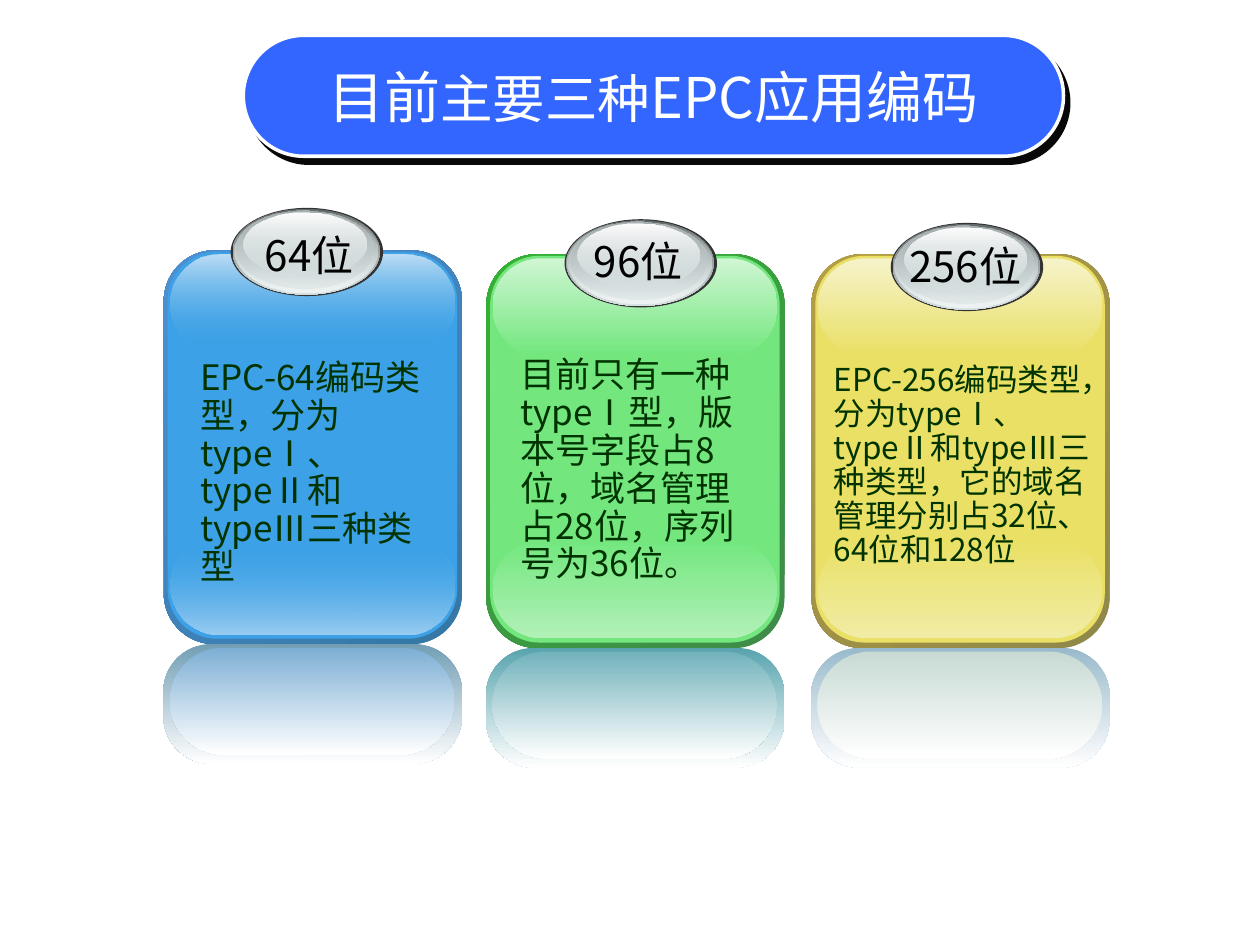
from lxml import etree
from pptx import Presentation
from pptx.dml.color import RGBColor
from pptx.enum import shapes, text
from pptx.oxml.ns import qn
from pptx.util import Pt

WHITE = RGBColor(0xFF, 0xFF, 0xFF)
BLACK = RGBColor(0, 0, 0)
INK = RGBColor(0, 0x33, 0)
TITLE_BLUE = RGBColor(0x33, 0x66, 0xFF)
RIM = RGBColor(0x33, 0x33, 0x33)
STEEL = RGBColor(0x62, 0x67, 0x68)
GREY = RGBColor(0xA8, 0xB1, 0xB2)
SILVER = RGBColor(0xD6, 0xE1, 0xE2)
PEARL = RGBColor(0xEF, 0xF3, 0xF3)
SHINE = RGBColor(0xFE, 0xFE, 0xFE)
SHADOW = RGBColor(0x08, 0x08, 0x08)

BLUE = dict(edge=(RGBColor(0x34, 0x77, 0xA4), RGBColor(0x4E, 0x91, 0xD4)),
            face=RGBColor(0x3C, 0xA1, 0xE6), low=RGBColor(0x9A, 0xCD, 0xF1),
            high=RGBColor(0xBD, 0xDE, 0xF5), mirror=RGBColor(0x72, 0x9E, 0xB4),
            mirror_face=RGBColor(0x7D, 0xAF, 0xD4))
GREEN = dict(edge=(RGBColor(0x3F, 0x8B, 0x4A), RGBColor(0x34, 0xB0, 0x34)),
             face=RGBColor(0x73, 0xE7, 0x7E), low=RGBColor(0xB1, 0xF0, 0xB7),
             high=RGBColor(0xCF, 0xF6, 0xD3), mirror=RGBColor(0x58, 0xA4, 0xAE),
             mirror_face=RGBColor(0x72, 0xB2, 0xBB))
YELLOW = dict(edge=(RGBColor(0x8F, 0x88, 0x49), RGBColor(0xB5, 0x9F, 0x43)),
              face=RGBColor(0xE9, 0xE0, 0x65), low=RGBColor(0xF1, 0xEC, 0xA5),
              high=RGBColor(0xF6, 0xF3, 0xCA), mirror=RGBColor(0x99, 0xBA, 0xCC),
              mirror_face=RGBColor(0xC8, 0xDA, 0xD4))

ROUND = shapes.MSO_SHAPE.ROUNDED_RECTANGLE
OVAL = shapes.MSO_SHAPE.OVAL
BODY_FONT = "Noto Sans CJK JP"
TITLE_FONT = "Noto Sans CJK SC"

CARDS = [
    dict(at=(95.8, 144), colors=BLUE, badge=(131.8, 118.8),
         label="64位", label_at=(141.1, 127.4, 71.3, 36), size=20,
         body="EPC-64编码类型，分为typeⅠ、typeⅡ和typeⅢ三种类型",
         body_at=(107.3, 202.3, 154.8, 93.6)),
    dict(at=(280.1, 146.2), colors=GREEN, badge=(322.6, 125.3),
         label="96位", label_at=(329, 131, 71.3, 36), size=20,
         body="目前只有一种typeⅠ型，版本号字段占8位，域名管理占28位，序列号为36位。",
         body_at=(290.2, 200.9, 145.4, 136.8)),
    dict(at=(465.9, 146.2), colors=YELLOW, badge=(509, 127.4),
         label="256位", label_at=(509, 133.9, 85, 36), size=18,
         body="EPC-256编码类型，分为typeⅠ、typeⅡ和typeⅢ三种类型，"
              "它的域名管理分别占32位、64位和128位",
         body_at=(469.4, 204.5, 164.2, 123.8)),
]


def set_all(obj, values):
    for name, value in values.items():
        setattr(obj, name, value)


def add_gradient(sp, colors, angle, alphas):
    sp.fill.gradient()
    sp.fill.gradient_angle = (360 - angle) % 360
    for stop, color in zip(sp.fill.gradient_stops, colors):
        stop.color.rgb = color
    for clr, alpha in zip(sp._element.spPr.iter(qn("a:srgbClr")), alphas):
        if alpha < 100:
            etree.SubElement(clr, qn("a:alpha"), val=str(alpha * 1000))


def add_shape(parent, kind, box, fill, angle=90, alphas=(100, 100), adj=None):
    sp = parent.shapes.add_shape(kind, *map(Pt, box))
    sp.shadow.inherit = False
    sp.line.fill.background()
    if adj is not None:
        sp.adjustments[0] = adj
    if isinstance(fill, RGBColor):
        sp.fill.solid()
        sp.fill.fore_color.rgb = fill
    else:
        add_gradient(sp, fill, angle, alphas)
    return sp


def add_run(p, words, size, color, font):
    r = p.add_run()
    r.text = words
    set_all(r.font, dict(size=Pt(size), name=font))
    r.font.color.rgb = color
    etree.SubElement(r.font._element, qn("a:ea"), typeface=font)


def add_text(s, box, words, size, color, wrap, paragraph):
    tf = s.shapes.add_textbox(*map(Pt, box)).text_frame
    set_all(tf, dict(word_wrap=wrap, auto_size=text.MSO_AUTO_SIZE.SHAPE_TO_FIT_TEXT))
    p = tf.paragraphs[0]
    set_all(p, paragraph)
    add_run(p, words, size, color, BODY_FONT)


def add_title(s):
    sp = add_shape(s, ROUND, (139, 20.2, 468.7, 69.1), TITLE_BLUE, adj=0.5)
    sp.line.color.rgb = WHITE
    sp.line.width = Pt(2)
    effects = sp._element.spPr.find(qn("a:effectLst"))
    shadow = etree.SubElement(effects, qn("a:outerShdw"), dist=str(Pt(5)),
                              dir=str(53 * 60000), algn="ctr", rotWithShape="0")
    etree.SubElement(shadow, qn("a:srgbClr"), val=str(SHADOW))
    tf = sp.text_frame
    set_all(tf, dict(word_wrap=False, vertical_anchor=text.MSO_ANCHOR.MIDDLE))
    p = tf.paragraphs[0]
    p.alignment = text.PP_ALIGN.CENTER
    for words, size in (("目前", 32), ("主要三种", 30), ("EPC应用编码", 32)):
        add_run(p, words, size, WHITE, TITLE_FONT)


def add_card(s, x, y, c):
    face = c["face"]
    clear = 0 if c is BLUE else 100
    add_shape(s, ROUND, (x - 2.2, y - 0.9, 170.4, 225), c["edge"], 225, adj=0.17)
    add_shape(s, ROUND, (x, y, 165.4, 221), face, adj=0.17)
    add_shape(s, ROUND, (x + 1.4, y + 162.4, 162.7, 56), (face, c["low"]),
              alphas=(clear, 100), adj=0.5)
    add_shape(s, ROUND, (x + 1.4, y + 1.4, 162.7, 55.4), (c["high"], face),
              alphas=(100, clear), adj=0.5)
    add_shape(s, ROUND, (x - 2.4, y + 224, 170.6, 68.4), (c["mirror"], WHITE), adj=0.4)
    add_shape(s, ROUND, (x + 1.2, y + 226.1, 162.7, 61.2), (c["mirror_face"], WHITE),
              adj=0.5)


def add_badge(s, x, y):
    grp = s.shapes.add_group_shape()
    for dx, dy, w, h, fill, alphas in (
            (0, 0, 87.1, 50.4, RIM, (100, 100)),
            (1.1, 0.5, 84.2, 49, (STEEL, SILVER), (100, 100)),
            (2, 0.9, 82.1, 47.5, (SILVER, PEARL), (0, 100)),
            (3, 1.3, 78.5, 44.6, (GREY, SILVER), (100, 48)),
            (7.6, 2.7, 69.8, 36, (SHINE, SILVER), (100, 38))):
        add_shape(grp, OVAL, (x + dx, y + dy, w, h), fill, alphas=alphas)


def main():
    prs = Presentation()
    set_all(prs, dict(slide_width=Pt(720), slide_height=Pt(540)))
    s = prs.slides.add_slide(prs.slide_layouts[6])
    add_title(s)
    for card in CARDS:
        add_card(s, *card["at"], card["colors"])
        add_badge(s, *card["badge"])
        add_text(s, card["label_at"], card["label"], 24, BLACK, False,
                 dict(alignment=text.PP_ALIGN.CENTER))
        add_text(s, card["body_at"], card["body"], card["size"], INK, True,
                 dict(line_spacing=0.9))
    prs.save("out.pptx")


if __name__ == "__main__":
    main()
